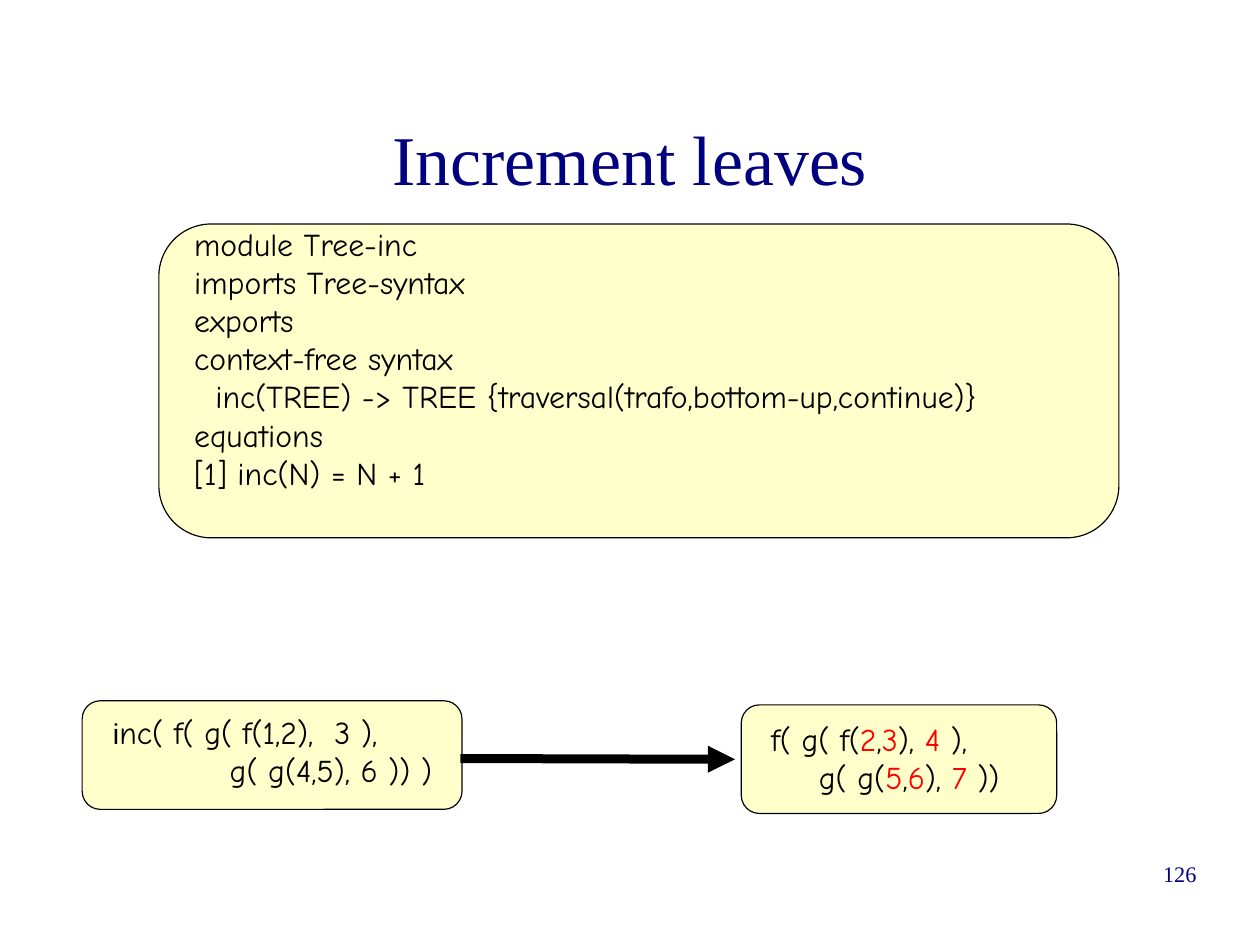
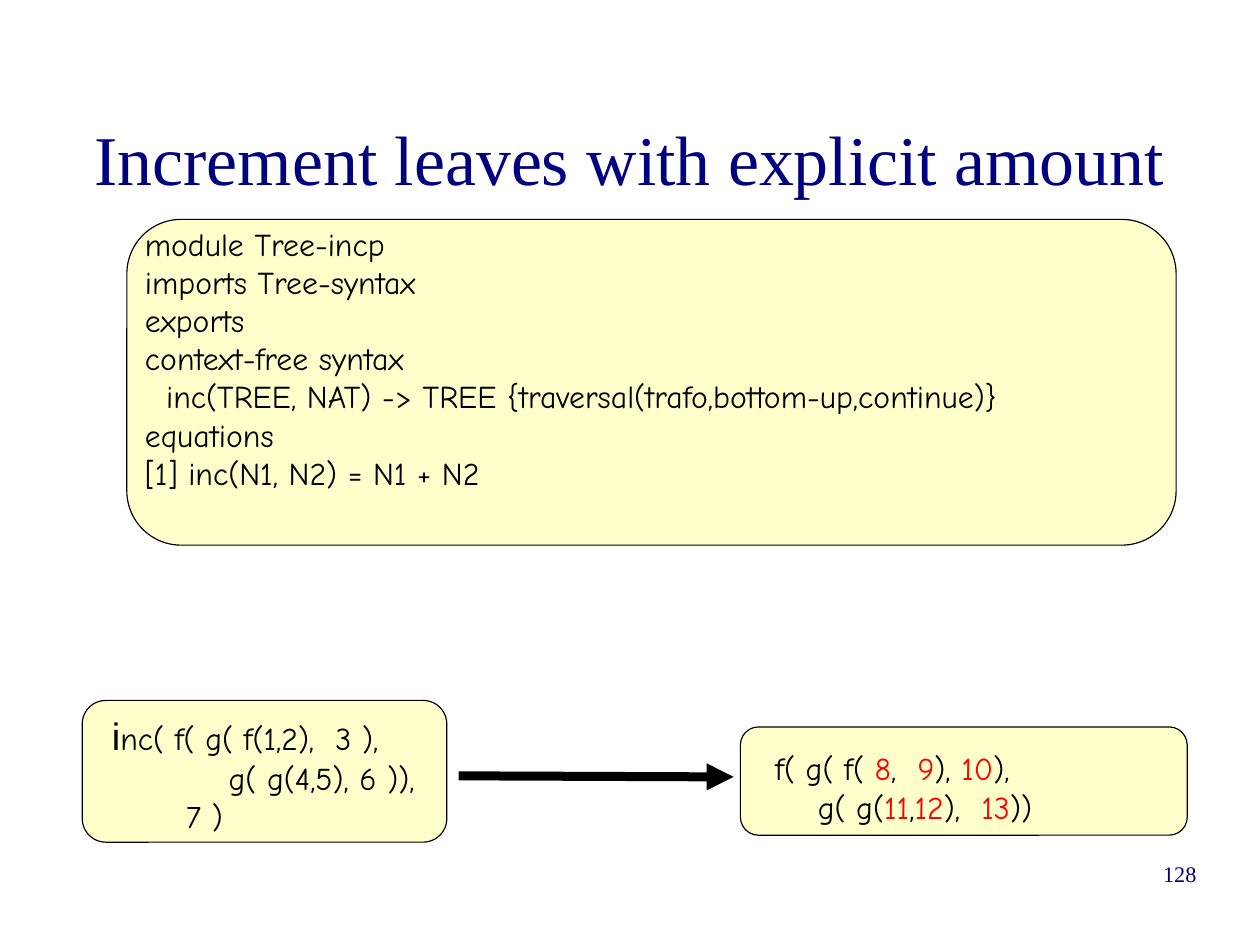
from itertools import groupby

from lxml import etree
from pptx import Presentation
from pptx.dml.color import RGBColor
from pptx.enum.shapes import MSO_CONNECTOR as Connector, MSO_SHAPE as Shape
from pptx.enum.text import MSO_ANCHOR as Anchor, PP_ALIGN as Align
from pptx.oxml.ns import qn
from pptx.util import Pt

COLORS = {"navy": "000080", "cream": "FFFFCC", "ink": "000000", "changed": "FF0000"}
SERIF, CODE, SANS = "Times New Roman", "Comic Neue", "Arial"
CODE_SIZE = 20


def color(name):
    return RGBColor.from_string(COLORS[name])


class Deck:
    """Holds the shared style and the slide being built."""

    def __init__(self, width, height):
        self.prs = Presentation()
        self.prs.slide_width, self.prs.slide_height = Pt(width), Pt(height)
        self.slide = None

    def new_slide(self, title, number):
        self.slide = self.prs.slides.add_slide(self.prs.slide_layouts[6])
        self.label(title, (58.3, 49.7, 677.5, 99.4), 44, Align.CENTER, Anchor.MIDDLE)
        self.label(number, (568.8, 542.2, 185, 41), 14, Align.RIGHT, Anchor.TOP)

    def frame(self, area, inset_x=0, inset_y=0):
        frame = self.slide.shapes.add_textbox(*map(Pt, area)).text_frame
        frame.word_wrap = True
        frame.margin_left = frame.margin_right = Pt(inset_x)
        frame.margin_top = frame.margin_bottom = Pt(inset_y)
        return frame

    def style(self, run, size, font, tint):
        run.font.size, run.font.name = Pt(size), font
        run.font.color.rgb = color(tint)

    def label(self, text, area, size, align, anchor):
        """Navy serif text: slide title or page number."""
        frame = self.frame(area)
        frame.text = text
        frame.vertical_anchor = anchor
        paragraph = frame.paragraphs[0]
        paragraph.alignment = align
        self.style(paragraph.runs[0], size, SERIF, "navy")

    def panel(self, area):
        panel = self.slide.shapes.add_shape(Shape.ROUNDED_RECTANGLE, *map(Pt, area))
        panel.shadow.inherit = False
        panel.fill.solid()
        panel.fill.fore_color.rgb = color("cream")
        panel.line.color.rgb = color("ink")
        panel.line.width = Pt(0)

    def code(self, lines, area, lead="", lead_size=18, mark_numbers=False):
        """Code lines; lead opens the first line in sans, numbers may be marked."""
        frame = self.frame(area, 7.2, 3.6)
        for index, line in enumerate(lines):
            paragraph = frame.add_paragraph() if index else frame.paragraphs[0]
            if lead and not index:
                paragraph.text = lead
                self.style(paragraph.runs[0], lead_size, SANS, "ink")
            for is_number, chars in groupby(line, lambda c: mark_numbers and c.isdigit()):
                run = paragraph.add_run()
                run.text = "".join(chars)
                self.style(run, CODE_SIZE, CODE, "changed" if is_number else "ink")

    def arrow(self, start, end):
        arrow = self.slide.shapes.add_connector(
            Connector.STRAIGHT, *map(Pt, (*start, *end)))
        arrow.line.color.rgb = color("ink")
        arrow.line.width = Pt(5.67)
        properties = arrow._element.spPr
        etree.SubElement(properties.find(qn("a:ln")), qn("a:tailEnd"), type="triangle")
        etree.SubElement(properties, qn("a:effectLst"))


def module(name, signature, equation):
    return [f"module {name}", "imports Tree-syntax", "exports", "context-free syntax",
            f"  {signature} -> TREE {{traversal(trafo,bottom-up,continue)}}",
            "equations", f"[1] {equation}"]


def increment_leaves(deck):
    deck.new_slide("Increment leaves", "126")

    # Module definition
    deck.panel((100.1, 141.1, 604.8, 197.7))
    deck.code(module("Tree-inc", "inc(TREE)", "inc(N) = N + 1"),
              (115.2, 138, 586, 206.6))

    # Call and its result
    deck.panel((51.8, 441.4, 239.3, 68.4))
    deck.code(["nc( f( g( f(1,2),  3 ),", "           g( g(4,5), 6 )) )"],
              (64.1, 445.5, 242, 64), lead="i")
    deck.panel((467, 444, 198.7, 68.4))
    deck.code(["f( g( f(2,3), 4 ),", "      g( g(5,6), 7 ))"],
              (468.7, 450, 185, 64), lead="  ", mark_numbers=True)
    deck.arrow((290, 477.8), (463, 478.3))


def increment_by_amount(deck):
    deck.new_slide("Increment leaves with explicit amount", "128")

    # Module definition
    deck.panel((79.9, 138.2, 661, 205.2))
    deck.code(module("Tree-incp", "inc(TREE, NAT)", "inc(N1, N2) = N1 + N2"),
              (84.2, 138, 709.2, 206.6))

    # Call and its result
    deck.panel((51.8, 441.2, 229.7, 89.3))
    deck.code(["nc( f( g( f(1,2),  3 ),", "           g( g(4,5), 6 )),", "       7 )"],
              (63.4, 445.3, 232.6, 92.9), lead="i", lead_size=24)
    deck.panel((466.4, 457.9, 281.5, 68.2))
    deck.code(["f( g( f( 8,  9), 10),", "      g( g(11,12),  13))"],
              (468, 464.1, 273.6, 64.8), lead="  ", lead_size=24, mark_numbers=True)
    deck.arrow((288.9, 488.7), (462.2, 489.4))


def main():
    deck = Deck(793.75, 595.25)
    increment_leaves(deck)
    increment_by_amount(deck)
    deck.prs.save("out.pptx")


if __name__ == "__main__":
    main()
